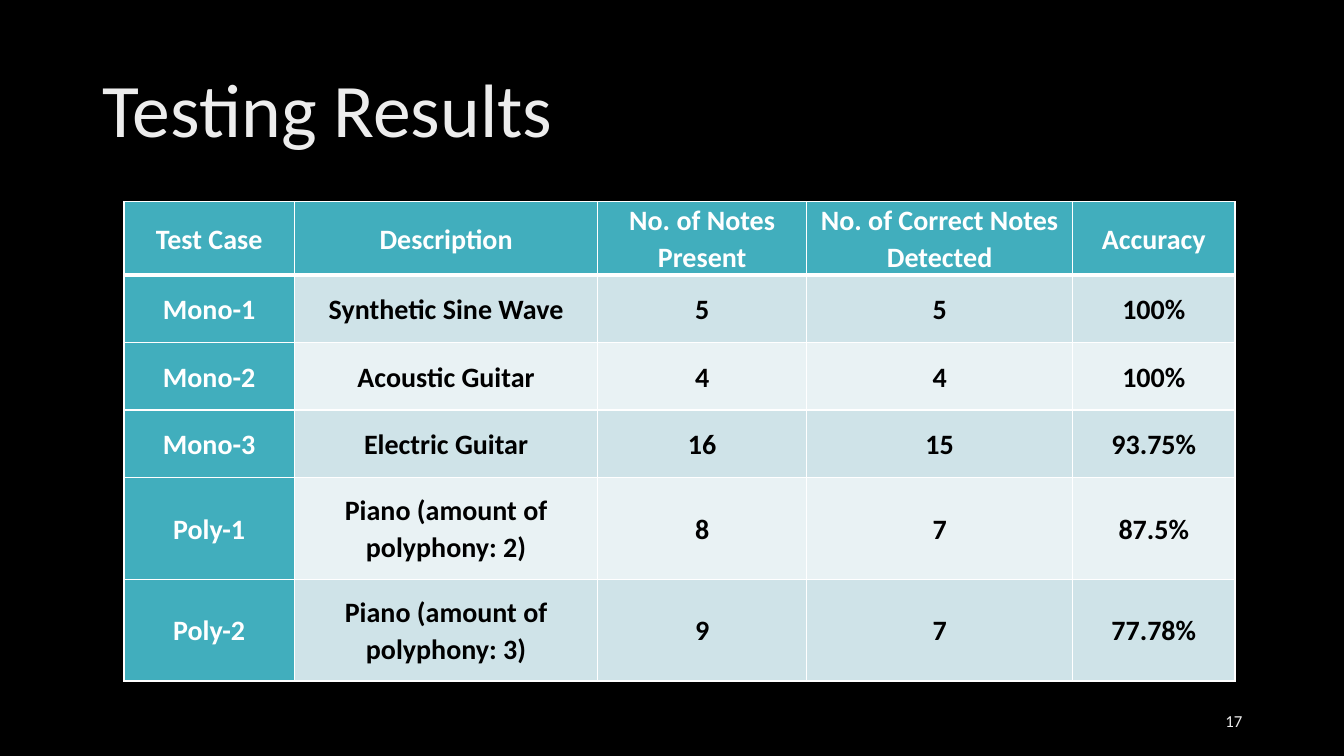
from pptx import Presentation
from pptx.dml.color import RGBColor
from pptx.enum.text import MSO_ANCHOR as Anchor, MSO_AUTO_SIZE as AutoSize, PP_ALIGN as Align
from pptx.oxml import parse_xml
from pptx.oxml.ns import nsdecls
from pptx.util import Inches, Pt


def rgb(value):
    return RGBColor.from_string(value)


def write(tf, text, size, color, align, bold=False, spacing=1.0):
    tf.text = text
    p = tf.paragraphs[0]
    p.alignment, p.line_spacing = align, spacing
    font = p.runs[0].font
    for name, value in {"name": "Calibri", "size": Pt(size), "bold": bold}.items():
        setattr(font, name, value)
    font.color.rgb = rgb(color)


TEAL, BAND_DARK, BAND_LIGHT = "41AEBD", "CFE3E8", "E9F2F4"
WHITE, BLACK, PALE = "FFFFFF", "000000", "EDEDED"

prs = Presentation()
prs.slide_width, prs.slide_height = Inches(13.33), Inches(7.5)
s = prs.slides.add_slide(prs.slide_layouts[5])
s.background.fill.solid()
s.background.fill.fore_color.rgb = rgb(BLACK)

# Title
title = s.shapes.title
for name, value in {"left": 0.92, "top": 0.4, "width": 11.5, "height": 1.45}.items():
    setattr(title, name, Inches(value))
tf = title.text_frame
tf.auto_size, tf.vertical_anchor = AutoSize.NONE, Anchor.MIDDLE
write(tf, "Testing Results", 54, PALE, Align.LEFT, spacing=0.9)

# Results table
results = [
    ("Test Case", "Description", "No. of Notes Present",
     "No. of Correct Notes Detected", "Accuracy"),
    ("Mono-1", "Synthetic Sine Wave", "5", "5", "100%"),
    ("Mono-2", "Acoustic Guitar", "4", "4", "100%"),
    ("Mono-3", "Electric Guitar", "16", "15", "93.75%"),
    ("Poly-1", "Piano (amount of polyphony: 2)", "8", "7", "87.5%"),
    ("Poly-2", "Piano (amount of polyphony: 3)", "9", "7", "77.78%"),
]
col_widths = [1.69, 3.01, 2.07, 2.64, 1.61]
row_heights = [0.67] * 4 + [1.01] * 2
table = s.shapes.add_table(len(results), len(col_widths), Inches(1.23), Inches(2),
                           Inches(sum(col_widths)), Inches(sum(row_heights))).table
for column, width in zip(table.columns, col_widths):
    column.width = Inches(width)
for row, height in zip(table.rows, row_heights):
    row.height = Inches(height)

cell_format = {"vertical_anchor": Anchor.MIDDLE,
               "margin_left": Inches(0.07), "margin_right": Inches(0.07),
               "margin_top": 0, "margin_bottom": 0}
for i, values in enumerate(results):
    for j, value in enumerate(values):
        cell = table.cell(i, j)
        for name, setting in cell_format.items():
            setattr(cell, name, setting)
        is_header = i == 0 or j == 0
        write(cell.text_frame, value, 20, WHITE if is_header else BLACK,
              Align.CENTER, bold=True, spacing=1.07)
        cell.fill.solid()
        cell.fill.fore_color.rgb = rgb(
            TEAL if is_header else BAND_DARK if i % 2 else BAND_LIGHT)

        # White borders, heavier between the header row and the data
        heavy_side = {0: "B", 1: "T"}.get(i)
        for k, side in enumerate("LRTB"):
            width = Pt(3 if side == heavy_side else 1)
            cell._tc.get_or_add_tcPr().insert(k, parse_xml(
                f'<a:ln{side} {nsdecls("a")} w="{width}"><a:solidFill>'
                f'<a:srgbClr val="{WHITE}"/></a:solidFill></a:ln{side}>'))

# Slide number
number = s.shapes.add_textbox(Inches(9.42), Inches(6.95), Inches(3), Inches(0.4))
tf = number.text_frame
tf.word_wrap, tf.vertical_anchor = True, Anchor.MIDDLE
write(tf, "17", 12, PALE, Align.RIGHT)

prs.save("out.pptx")
